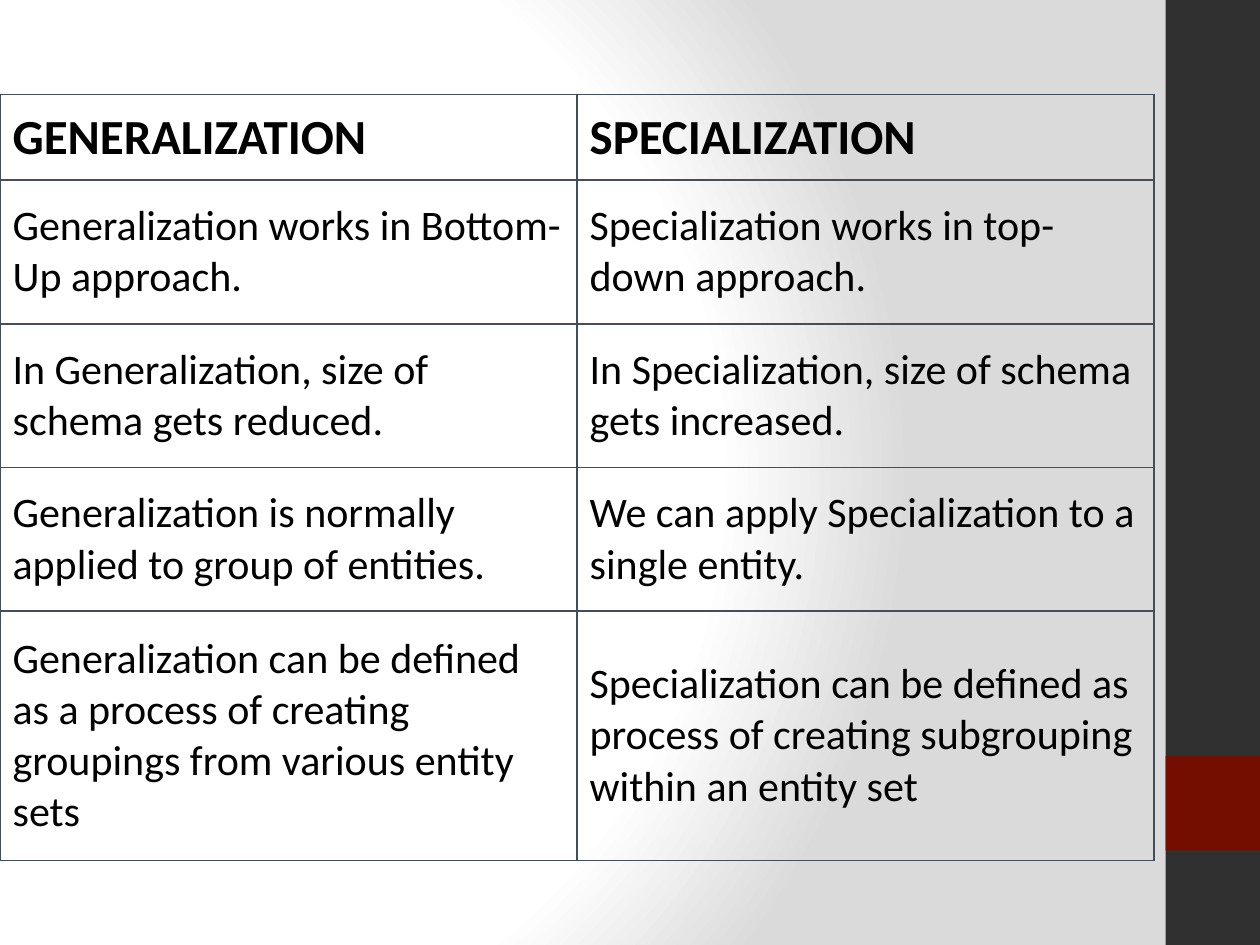
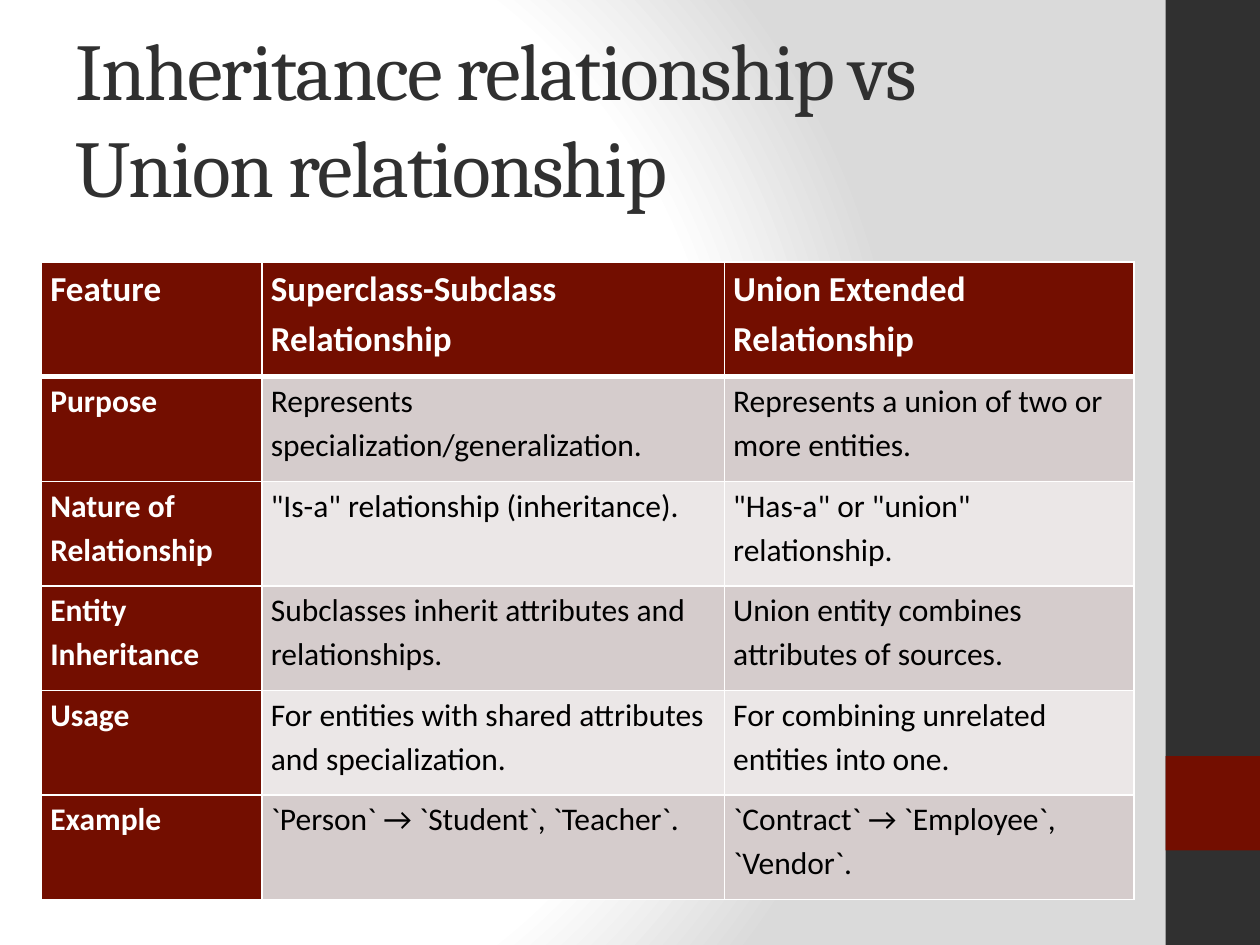
import pptx
import pptx.util
import pptx.oxml
import pptx.oxml.ns
import pptx.dml.color
import pptx.enum.shapes
import pptx.enum.text

Inches = pptx.util.Inches
Pt = pptx.util.Pt
RGBColor = pptx.dml.color.RGBColor
MIDDLE = pptx.enum.text.MSO_ANCHOR.MIDDLE
TOP = pptx.enum.text.MSO_ANCHOR.TOP

WHITE = RGBColor(0xFF, 0xFF, 0xFF)
BLACK = RGBColor(0, 0, 0)
SILVER = RGBColor(0xDA, 0xDA, 0xDA)
DARK = RGBColor(0x30, 0x30, 0x30)
RED = RGBColor(0x73, 0x0E, 0x00)
SLATE = RGBColor(0x42, 0x4E, 0x5B)
ROSE = RGBColor(0xD5, 0xCC, 0xCC)
PALE = RGBColor(0xEB, 0xE7, 0xE7)

SPACE = pptx.oxml.ns.nsdecls("a")
GLOW = f"""<a:gradFill {SPACE} rotWithShape="1"><a:gsLst>
<a:gs pos="0"><a:srgbClr val="{WHITE}"/></a:gs>
<a:gs pos="75000"><a:srgbClr val="{WHITE}"/></a:gs>
<a:gs pos="100000"><a:srgbClr val="{SILVER}"/></a:gs></a:gsLst>
<a:path path="circle"><a:fillToRect l="20000" t="50000" r="100000" b="50000"/></a:path>
</a:gradFill>"""

METHODS = [
    ("GENERALIZATION", "SPECIALIZATION"),
    ("Generalization works in Bottom-Up approach.",
     "Specialization works in top-down approach."),
    ("In Generalization, size of schema gets reduced.",
     "In Specialization, size of schema gets increased."),
    ("Generalization is normally applied to group of entities.",
     "We can apply Specialization to a single entity."),
    ("Generalization can be defined as a process of creating groupings from various entity sets",
     "Specialization can be defined as process of creating subgrouping within an entity set"),
]
LINKS = [
    ("Feature", "Superclass-Subclass Relationship", "Union Extended Relationship"),
    ("Purpose", "Represents specialization/generalization.",
     "Represents a union of two or more entities."),
    ("Nature of Relationship", '"Is-a" relationship (inheritance).',
     '"Has-a" or "union" relationship.'),
    ("Entity Inheritance", "Subclasses inherit attributes and relationships.",
     "Union entity combines attributes of sources."),
    ("Usage", "For entities with shared attributes and specialization.",
     "For combining unrelated entities into one."),
    ("Example", "`Person` → `Student`, `Teacher`.",
     "`Contract` → `Employee`, `Vendor`."),
]


class Deck:
    body = "Calibri"
    head = "Cambria"

    def __init__(self):
        self.file = pptx.Presentation()
        self.file.slide_width = Inches(10)
        self.file.slide_height = Inches(7.5)
        self.slide = None

    def page(self):
        self.slide = self.file.slides.add_slide(self.file.slide_layouts[6])
        self.slide.background.fill.solid()
        solid = self.slide.element.find(".//" + pptx.oxml.ns.qn("p:bgPr"))[0]
        solid.getparent().replace(solid, pptx.oxml.parse_xml(GLOW))
        self.band(0, 7.5, DARK)
        self.band(6, 0.75, RED)

    def band(self, top, height, color):
        shape = self.slide.shapes.add_shape(
            pptx.enum.shapes.MSO_SHAPE.RECTANGLE,
            Inches(9.25), Inches(top), Inches(0.75), Inches(height))
        shape.shadow.inherit = False
        shape.fill.solid()
        shape.fill.fore_color.rgb = color
        shape.line.fill.background()

    def label(self, par, text, size, color, bold=False, face=body):
        run = par.add_run()
        run.text = text
        run.font.name = face
        run.font.size = Pt(size)
        run.font.bold = bold
        run.font.color.rgb = color
        return run

    def title(self, text):
        box = self.slide.shapes.add_textbox(
            Inches(0.5), Inches(0.3), Inches(8.33), Inches(1.25))
        frame = box.text_frame
        frame.word_wrap = True
        frame.vertical_anchor = MIDDLE
        run = self.label(frame.paragraphs[0], text, 46, DARK, face=self.head)
        run.font._element.set("spc", "-100")

    def border(self, cell, color, widths):
        props = cell._tc.get_or_add_tcPr()
        for side, width in zip("LRTB", widths):
            props.append(pptx.oxml.parse_xml(
                f'<a:ln{side} {SPACE} w="{Pt(width)}"><a:solidFill>'
                f'<a:srgbClr val="{color}"/></a:solidFill></a:ln{side}>'))

    def table(self, left, top, cols, rows, data, style):
        frame = self.slide.shapes.add_table(
            len(rows), len(cols), Inches(left), Inches(top),
            Inches(sum(cols)), Inches(sum(rows)))
        grid = frame.table
        grid.first_row = grid.horz_banding = False
        for col, width in zip(grid.columns, cols):
            col.width = Inches(width)
        for row, height in zip(grid.rows, rows):
            row.height = Inches(height)
        for i, line in enumerate(data):
            for j, text in enumerate(line):
                style(grid.cell(i, j), i, j, text)

    def pad(self, cell, side, edge, anchor):
        cell.margin_left = cell.margin_right = Inches(side)
        cell.margin_top = cell.margin_bottom = Inches(edge)
        cell.vertical_anchor = anchor

    def plain(self, cell, i, j, text):
        first = i == 0
        self.pad(cell, 0.1, 0.1 if first else 0.15, MIDDLE)
        self.border(cell, SLATE, (1, 1, 1, 1))
        cell.fill.background()
        self.label(cell.text_frame.paragraphs[0], text,
                   28 if first else 24, BLACK, first)

    def banded(self, cell, i, j, text):
        first = i == 0
        strong = first or j == 0
        self.pad(cell, 0.07, 0, TOP)
        self.border(cell, WHITE, (1, 1, 3 if i == 1 else 1, 3 if first else 1))
        cell.fill.solid()
        cell.fill.fore_color.rgb = RED if strong else ROSE if i % 2 else PALE
        par = cell.text_frame.paragraphs[0]
        par.line_spacing = 1.15
        self.label(par, text, 20 if first else 18,
                   WHITE if strong else BLACK, strong)


def main():
    deck = Deck()
    deck.page()
    deck.table(0, 0.75, [4.58] * 2, [0.68] + [1.14] * 3 + [1.98],
               METHODS, deck.plain)
    deck.page()
    deck.title("Inheritance relationship vs Union relationship")
    deck.table(0.33, 2.08, [1.75, 3.67, 3.25], [0.91] + [0.83] * 5,
               LINKS, deck.banded)
    deck.file.save("out.pptx")


if __name__ == "__main__":
    main()
